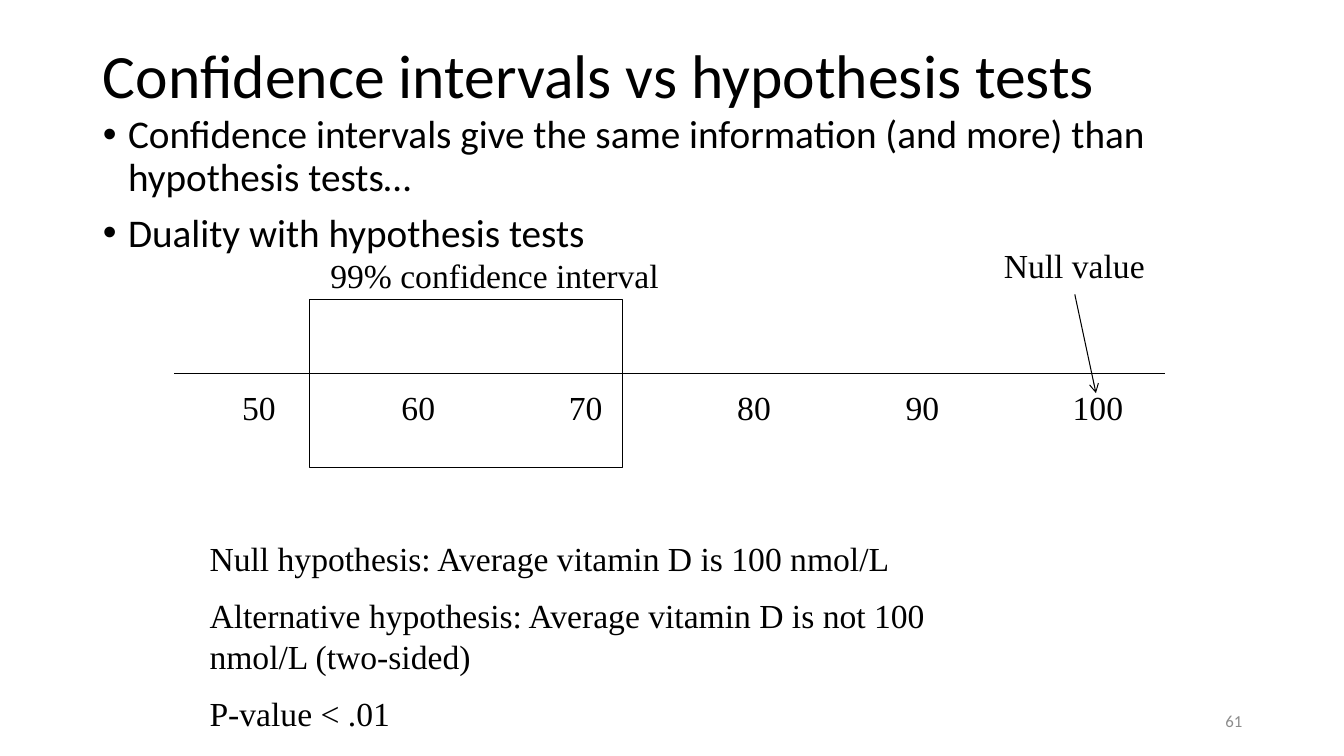
from lxml import etree
from pptx import Presentation
from pptx import util as u
from pptx.dml.color import RGBColor
from pptx.enum import shapes as sh, text as tx
from pptx.oxml import ns

HUES = {"ink": "000000", "paper": "FFFFFF", "gray": "8C8C8C"}
SANS, SERIF = "Calibri", "Times New Roman"
LEFT, MID, RIGHT = tx.PP_ALIGN.LEFT, tx.PP_ALIGN.CENTER, tx.PP_ALIGN.RIGHT
TOP, HALF = tx.MSO_ANCHOR.TOP, tx.MSO_ANCHOR.MIDDLE

TITLE = ["Confidence intervals vs hypothesis tests"]
POINTS = [
    "Confidence intervals give the same information (and more) than hypothesis tests…",
    "Duality with hypothesis tests",
]
CLAIMS = [
    "Null hypothesis: Average vitamin D is 100 nmol/L",
    "Alternative hypothesis: Average vitamin D is not 100 nmol/L (two-sided)",
    "P-value < .01",
]
TICKS = {"50": 2.57, "60": 4.15, "70": 5.81, "80": 7.48, "90": 9.15, "100": 10.89}
AXIS = (1.82, 3.79, 9.91, 0.45)
INSET = 0.1
LABELS = [
    (["Null value"], (9.57, 2.38, 2.17, 0.45), MID),
    (["99% confidence interval"], (2.41, 2.48, 4.99, 0.45), MID),
    (["".join("\t" + tick for tick in TICKS)], AXIS, LEFT),
]
LINES = [
    ((10.66, 2.92), (10.87, 3.9), True),
    ((1.73, 3.71), (11.55, 3.71), False),
]


def inches(vals):
    return [u.Inches(v) for v in vals]


def color(name):
    return RGBColor.from_string(HUES[name])


def assign(obj, vals):
    for key, val in vals.items():
        setattr(obj, key, val)


def add(node, tag, **attrs):
    return etree.SubElement(node, ns.qn(tag), attrs)


def place(shape, box):
    assign(shape, dict(zip(("left", "top", "width", "height"), inches(box))))


def write(shape, lines, font, size, hue="ink", align=LEFT, anchor=TOP,
          low=0.05, gap=0, lead=1.0):
    frame = shape.text_frame
    assign(frame, {
        "word_wrap": True, "auto_size": tx.MSO_AUTO_SIZE.NONE,
        "vertical_anchor": anchor, "margin_left": u.Inches(INSET),
        "margin_right": u.Inches(INSET), "margin_top": u.Inches(0.05),
        "margin_bottom": u.Inches(low),
    })
    frame.text = "\n".join(lines)
    for para in frame.paragraphs:
        assign(para, {"alignment": align, "line_spacing": lead, "space_before": u.Pt(gap)})
        for run in para.runs:
            assign(run.font, {"name": font, "size": u.Pt(size)})
            run.font.color.rgb = color(hue)
    return frame


def edge(shape, hue):
    shape.line.color.rgb = color(hue)
    shape.line.width = u.Pt(0.75)


def rect(box, hue):
    shape = draw.add_shape(sh.MSO_SHAPE.RECTANGLE, *inches(box))
    shape.shadow.inherit = False
    edge(shape, hue)
    return shape


deck = Presentation()
assign(deck, {"slide_width": u.Inches(13.33), "slide_height": u.Inches(7.5)})
slide = deck.slides.add_slide(deck.slide_layouts[1])
draw = slide.shapes

title, body = slide.placeholders
place(title, (0.92, 0.4, 11.5, 1.45))
write(title, TITLE, SANS, 44, lead=0.9)
place(body, (0.92, 1.09, 11.5, 4.76))
for para in write(body, POINTS, SANS, 28, gap=10, lead=0.9).paragraphs:
    props = para._p.get_or_add_pPr()
    props.set("marL", str(u.Inches(0.25)))
    props.set("indent", str(u.Inches(-0.25)))
    add(props, "a:buFont", typeface="Arial")
    add(props, "a:buChar", char="•")

page = draw.add_textbox(*inches((9.42, 6.95, 3, 0.4)))
write(page, ["61"], SANS, 12, "gray", RIGHT, HALF)

rect((3.07, 2.97, 3.1, 1.67), "ink").fill.background()
panel = rect((1.98, 5.29, 7.92, 2.06), "paper")
panel.fill.solid()
panel.fill.fore_color.rgb = color("paper")
write(panel, CLAIMS, SERIF, 24, low=0, gap=12)

for start, end, arrow in LINES:
    line = draw.add_connector(sh.MSO_CONNECTOR.STRAIGHT, *inches(start + end))
    edge(line, "ink")
    if arrow:
        add(line.line._get_or_add_ln(), "a:tailEnd", type="arrow")
    add(line._element.spPr, "a:effectLst")

for lines, box, align in LABELS:
    label = draw.add_textbox(*inches(box))
    frame = write(label, lines, SERIF, 24, align=align, low=0, gap=12)

stops = add(frame.paragraphs[0]._p.get_or_add_pPr(), "a:tabLst")
for mid in TICKS.values():
    add(stops, "a:tab", pos=str(u.Inches(mid - AXIS[0] - INSET)), algn="ctr")

deck.save("out.pptx")
